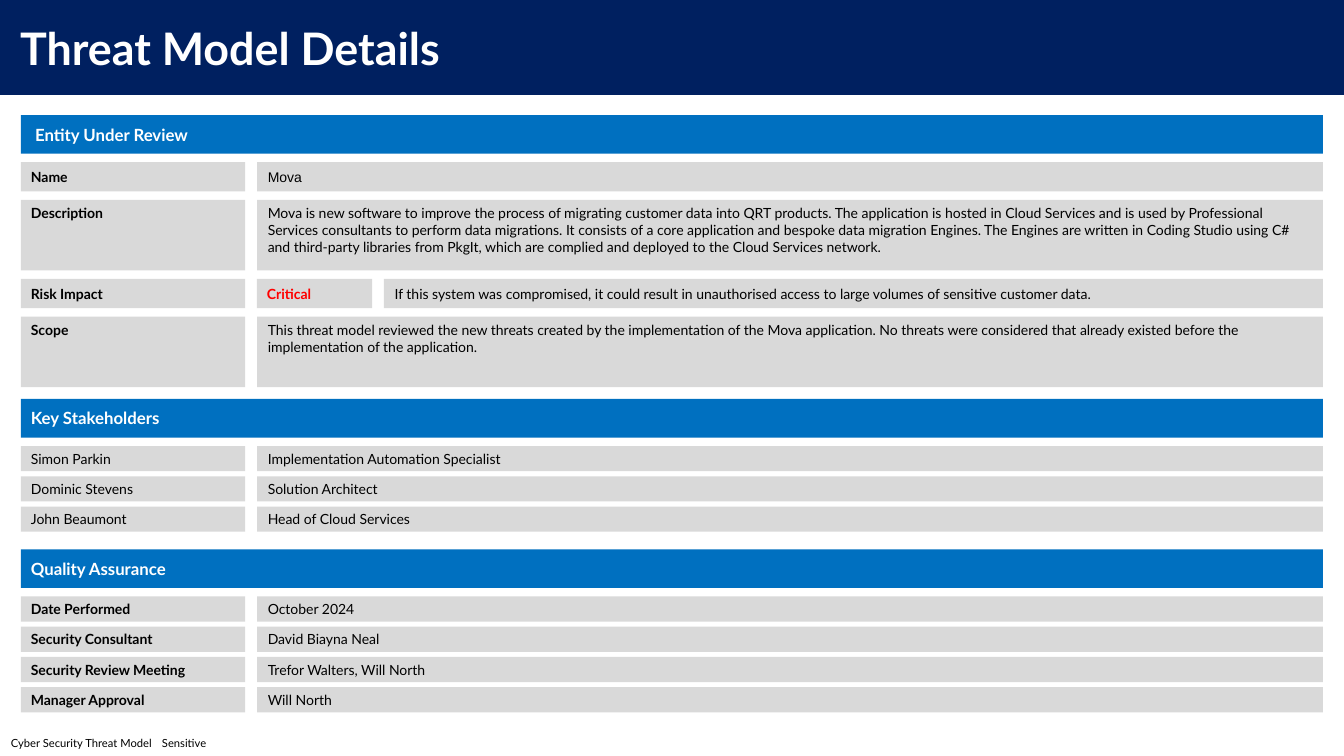
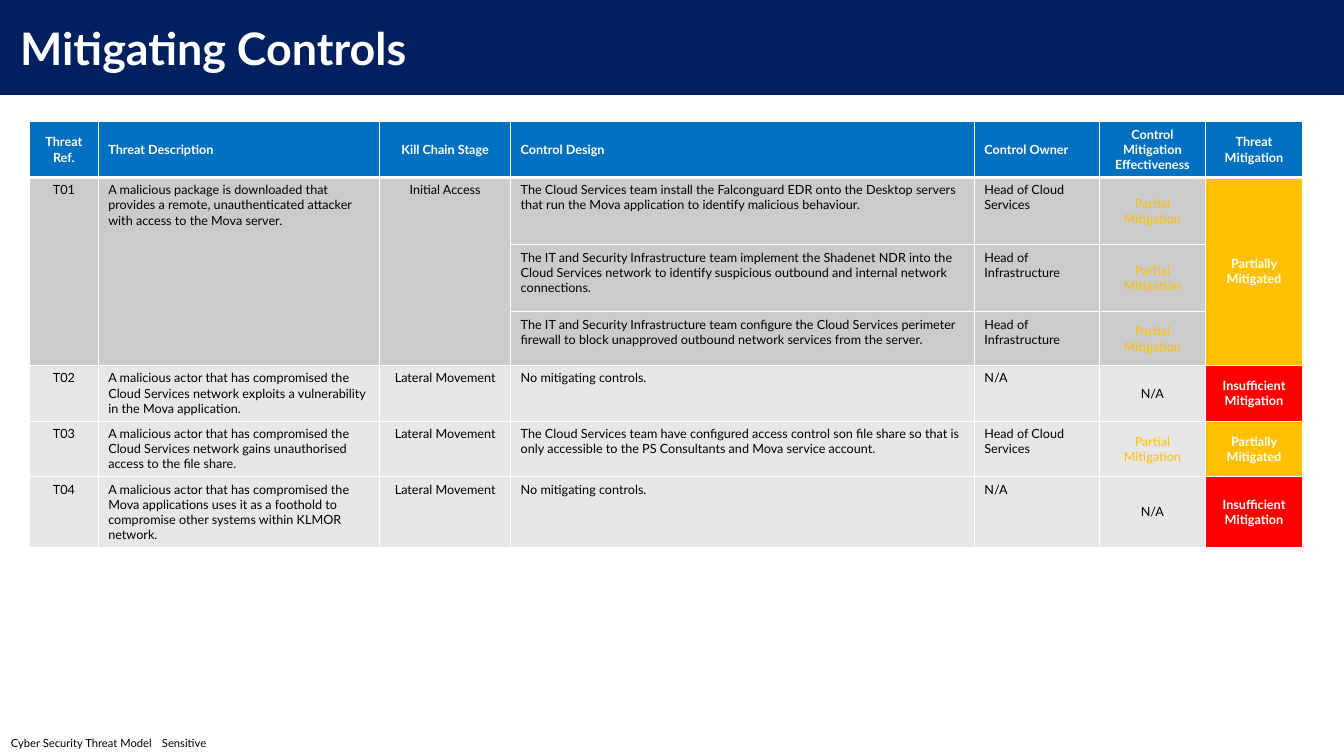
from dataclasses import dataclass

from lxml import etree
from pptx import Presentation
from pptx import util as u
from pptx.dml.color import RGBColor
from pptx.enum import shapes, text
from pptx.oxml import ns

COLS, ROWS = 160, 90
UNIT = u.Inches(1) // 12

NAVY = RGBColor(0x00, 0x20, 0x60)
BLUE = RGBColor(0x00, 0x70, 0xC0)
GREY = RGBColor(0xD9, 0xD9, 0xD9)
DARK = RGBColor(0xCB, 0xCB, 0xCB)
LIGHT = RGBColor(0xE7, 0xE7, 0xE7)
WHITE = RGBColor(0xFF, 0xFF, 0xFF)
BLACK = RGBColor(0x00, 0x00, 0x00)
RED = RGBColor(0xFF, 0x00, 0x00)
AMBER = RGBColor(0xFF, 0xC0, 0x00)

FONT = "Lato"
LEFT, RIGHT = 2.5, 157.5
LABEL, RATING, GUTTER = 26.7, 13.7, 1.4
BAND, BAND_GAP = 4.6, 1
MID, TOP = text.MSO_ANCHOR.MIDDLE, text.MSO_ANCHOR.TOP
CENTER, START = text.PP_ALIGN.CENTER, text.PP_ALIGN.LEFT


@dataclass(frozen=True)
class Row:
    label: str
    value: str
    height: float = 3
    bold: bool = True
    rating: str = ""
    font: str = FONT


@dataclass(frozen=True)
class Section:
    head: str
    top: float
    gap: float
    rows: tuple[Row, ...]
    indent: float = 0


@dataclass(frozen=True)
class Control:
    design: str
    owner: str
    effect: str


@dataclass(frozen=True)
class Threat:
    ref: str
    detail: str
    stage: str
    status: str
    tint: RGBColor
    controls: tuple[Control, ...]


PARTIAL, NONE = "Partial Mitigation", "N/A"
STATUS = {"Partially Mitigated": AMBER, "Insufficient Mitigation": RED}

SECTIONS = (
    Section("Entity Under Review", 13.7, 1, (
        Row("Name", "Mova", 3.5, font="Arial"),
        Row("Description",
            "Mova is new software to improve the process of migrating customer data into QRT products. "
            "The application is hosted in Cloud Services and is used by Professional Services consultants "
            "to perform data migrations. It consists of a core application and bespoke data migration "
            "Engines. The Engines are written in Coding Studio using C# and third-party libraries from "
            "PkgIt, which are complied and deployed to the Cloud Services network.", 8.4),
        Row("Risk Impact",
            "If this system was compromised, it could result in unauthorised access to large volumes "
            "of sensitive customer data.", 3.5, rating="Critical"),
        Row("Scope",
            "This threat model reviewed the new threats created by the implementation of the Mova "
            "application. No threats were considered that already existed before the implementation "
            "of the application.", 8.4),
    ), indent=0.5),
    Section("Key Stakeholders", 47.5, 0.6, (
        Row("Simon Parkin", "Implementation Automation Specialist", bold=False),
        Row("Dominic Stevens", "Solution Architect", bold=False),
        Row("John Beaumont", "Head of Cloud Services", bold=False),
    )),
    Section("Quality Assurance", 65.4, 0.6, (
        Row("Date Performed", "October 2024"),
        Row("Security Consultant", "David Biayna Neal"),
        Row("Security Review Meeting", "Trefor Walters, Will North"),
        Row("Manager Approval", "Will North"),
    )),
)

HEADS = ("Threat Ref.", "Threat Description", "Kill Chain Stage", "Control Design",
         "Control Owner", "Control Mitigation Effectiveness", "Threat Mitigation")
WIDTHS = (8.2, 33.5, 15.6, 55.2, 14.9, 12.6, 11.6)
HEIGHTS = (6.4, 8, 8, 6.4, 6.4, 6.4, 8.3)
CENTRED = {0, 2, 5, 6}
MERGED = (0, 1, 2, 6)

THREATS = (
    Threat("T01", "A malicious package is downloaded that provides a remote, unauthenticated "
           "attacker with access to the Mova server.",
           "Initial Access", "Partially Mitigated", DARK, (
               Control("The Cloud Services team install the Falconguard EDR onto the Desktop servers "
                       "that run the Mova application to identify malicious behaviour.",
                       "Head of Cloud Services", PARTIAL),
               Control("The IT and Security Infrastructure team implement the Shadenet NDR into the "
                       "Cloud Services network to identify suspicious outbound and internal network "
                       "connections.", "Head of Infrastructure", PARTIAL),
               Control("The IT and Security Infrastructure team configure the Cloud Services perimeter "
                       "firewall to block unapproved outbound network services from the server.",
                       "Head of Infrastructure", PARTIAL),
           )),
    Threat("T02", "A malicious actor that has compromised the Cloud Services network exploits a "
           "vulnerability in the Mova application.",
           "Lateral Movement", "Insufficient Mitigation", LIGHT,
           (Control("No mitigating controls.", NONE, NONE),)),
    Threat("T03", "A malicious actor that has compromised the Cloud Services network gains "
           "unauthorised access to the file share.",
           "Lateral Movement", "Partially Mitigated", LIGHT,
           (Control("The Cloud Services team have configured access control son file share so that is "
                    "only accessible to the PS Consultants and Mova service account.",
                    "Head of Cloud Services", PARTIAL),)),
    Threat("T04", "A malicious actor that has compromised the Mova applications uses it as a foothold "
           "to compromise other systems within KLMOR network.",
           "Lateral Movement", "Insufficient Mitigation", LIGHT,
           (Control("No mitigating controls.", NONE, NONE),)),
)


def span(count: float) -> int:
    return round(count * UNIT)


def write(frame, words: str, *, size: float = 10, color: RGBColor = BLACK, bold: bool = False,
          font: str = FONT, align=START, indent: float = 0, space: float = 0, tab: float = 0) -> None:
    frame.word_wrap = True
    para = frame.paragraphs[0]
    para.alignment = align
    para.space_before = para.space_after = u.Pt(space)
    props = para._p.get_or_add_pPr()
    props.set("marL", str(span(indent)))
    props.set("indent", "0")
    if tab:
        tabs = etree.SubElement(props, ns.qn("a:tabLst"))
        etree.SubElement(tabs, ns.qn("a:tab"), pos=str(span(tab)), algn="r")
    run = para.add_run()
    run.text = words
    run.font.size = u.Pt(size)
    run.font.name = font
    run.font.bold = bold
    run.font.color.rgb = color


def block(slide, left: float, top: float, width: float, height: float,
          fill: RGBColor, words: str, anchor=MID, **style) -> None:
    shape = slide.shapes.add_shape(shapes.MSO_SHAPE.RECTANGLE,
                                   span(left), span(top), span(width), span(height))
    shape.shadow.inherit = False
    shape.fill.solid()
    shape.fill.fore_color.rgb = fill
    shape.line.fill.background()
    shape.text_frame.vertical_anchor = anchor
    write(shape.text_frame, words, **style)


def start(deck, title: str):
    slide = deck.slides.add_slide(deck.slide_layouts[6])
    block(slide, 0, 0, COLS, 11.3, NAVY, title, size=32, color=WHITE, bold=True, indent=1.2)
    foot = slide.shapes.add_textbox(0, span(86.8), span(COLS), span(3.2)).text_frame
    foot.vertical_anchor = MID
    write(foot, "Cyber Security Threat Model\tSensitive", size=8, indent=0.1, tab=156.8)
    return slide


def draw_row(slide, row: Row, top: float) -> None:
    anchor = TOP if row.height > 5 else MID
    block(slide, LEFT, top, LABEL, row.height, GREY, row.label, anchor, bold=row.bold)
    left = LEFT + LABEL + GUTTER
    if row.rating:
        block(slide, left, top, RATING, row.height, GREY, row.rating, color=RED, bold=True)
        left += RATING + GUTTER
    block(slide, left, top, RIGHT - left, row.height, GREY, row.value, anchor,
          font=row.font, indent=0.1, space=9)


def draw_section(slide, part: Section) -> None:
    block(slide, LEFT, part.top, RIGHT - LEFT, BAND, BLUE, part.head,
          size=12, color=WHITE, bold=True, indent=part.indent)
    top = part.top + BAND + BAND_GAP
    for row in part.rows:
        draw_row(slide, row, top)
        top += row.height + part.gap


def edge(cell, row: int) -> None:
    props = cell._tc.get_or_add_tcPr()
    sides = {"L": 1, "R": 1, "T": 3 if row == 1 else 1, "B": 3 if row == 0 else 1}
    for spot, (side, width) in enumerate(sides.items()):
        line = etree.Element(ns.qn(f"a:ln{side}"), w=str(u.Pt(width)))
        fill = etree.SubElement(line, ns.qn("a:solidFill"))
        etree.SubElement(fill, ns.qn("a:srgbClr"), val=str(WHITE))
        props.insert(spot, line)


def put(grid, row: int, col: int, words: str, fill: RGBColor, anchor=TOP, **style) -> None:
    cell = grid.cell(row, col)
    cell.fill.solid()
    cell.fill.fore_color.rgb = fill
    cell.vertical_anchor = anchor
    edge(cell, row)
    if words:
        write(cell.text_frame, words, size=9, align=CENTER if col in CENTRED else START, **style)


def draw_threat(grid, threat: Threat, first: int) -> None:
    for step, item in enumerate(threat.controls):
        row = first + step
        lead = (threat.ref, threat.detail, threat.stage) if step == 0 else ("", "", "")
        for col, words in enumerate((*lead, item.design, item.owner)):
            put(grid, row, col, words, threat.tint)
        put(grid, row, 5, item.effect, threat.tint, MID,
            color=AMBER if item.effect == PARTIAL else BLACK)
        put(grid, row, 6, threat.status if step == 0 else "", STATUS[threat.status], MID,
            color=WHITE, bold=True)
    last = first + len(threat.controls) - 1
    if last > first:
        for col in MERGED:
            grid.cell(first, col).merge(grid.cell(last, col))


def draw_table(slide) -> None:
    grid = slide.shapes.add_table(len(HEIGHTS), len(WIDTHS), span(3.5), span(14.5),
                                  span(sum(WIDTHS)), span(sum(HEIGHTS))).table
    for col, width in zip(grid.columns, WIDTHS):
        col.width = span(width)
    for row, height in zip(grid.rows, HEIGHTS):
        row.height = span(height)
    for col, head in enumerate(HEADS):
        put(grid, 0, col, head, BLUE, MID, color=WHITE, bold=True)
    first = 1
    for threat in THREATS:
        draw_threat(grid, threat, first)
        first += len(threat.controls)


def main() -> None:
    deck = Presentation()
    deck.slide_width, deck.slide_height = span(COLS), span(ROWS)
    details = start(deck, "Threat Model Details")
    for part in SECTIONS:
        draw_section(details, part)
    draw_table(start(deck, "Mitigating Controls"))
    deck.save("out.pptx")


if __name__ == "__main__":
    main()
